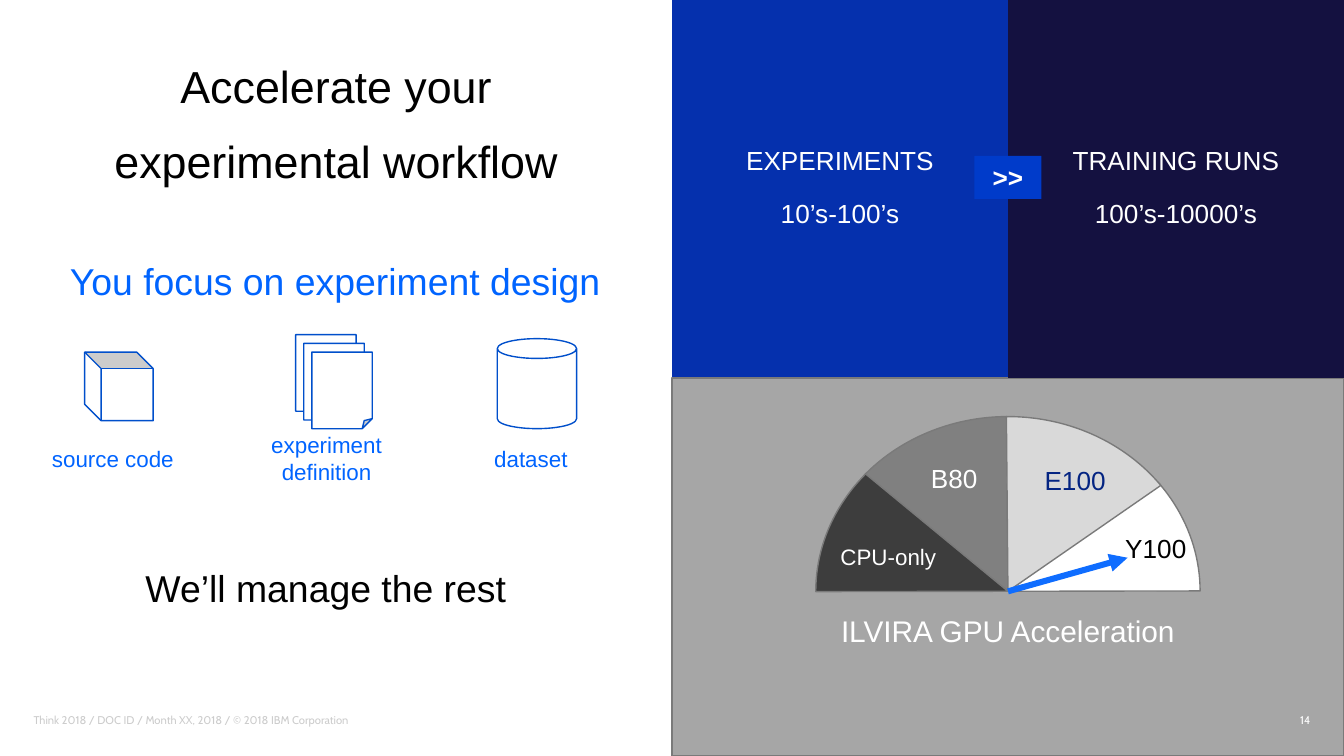
import pptx
import pptx.dml.color
import pptx.enum.shapes
import pptx.enum.text
import pptx.oxml
import pptx.oxml.ns
import pptx.util

Inches = pptx.util.Inches
Pt = pptx.util.Pt
MSO = pptx.enum.shapes.MSO_SHAPE
ALIGN = pptx.enum.text.PP_ALIGN
ANCHOR = pptx.enum.text.MSO_ANCHOR
WHITE, BLACK, BLUE, OUTLINE, GREY = "FFFFFF", "000000", "0064FF", "004FCB", "7A7A7A"
WIDTH = 10
HEIGHT = WIDTH * 9 / 16


def rgb(value):
    """Return the colour for a hex string."""
    return pptx.dml.color.RGBColor.from_string(value)


def place(sp, box):
    """Move and size a shape to a box in inches."""
    sp.left, sp.top, sp.width, sp.height = (Inches(v) for v in box)


def paint(sp, fill, line=None):
    """Set the fill and the outline of a shape."""
    sp.fill.solid()
    sp.fill.fore_color.rgb = rgb(fill)
    if line:
        sp.line.color.rgb = rgb(line)
        sp.line.width = Pt(0.75)
    else:
        sp.line.fill.background()


def write(sp, lines, size, color, font="Arial", align=ALIGN.CENTER, anchor=ANCHOR.MIDDLE,
          insets=(0, 0, 0, 0), bold=False, gap=0, spacing=1.0):
    """Fill a shape with one paragraph for each line of text."""
    tf = sp.text_frame
    tf.word_wrap = True
    tf.auto_size = pptx.enum.text.MSO_AUTO_SIZE.NONE
    tf.vertical_anchor = anchor
    tf.margin_left, tf.margin_top, tf.margin_right, tf.margin_bottom = (Inches(v) for v in insets)
    for i, line in enumerate(lines):
        p = tf.paragraphs[0] if i == 0 else tf.add_paragraph()
        p.alignment = align
        p.line_spacing = spacing
        p.space_before = Pt(gap if i else 0)
        if sp.is_placeholder:
            pPr = p._p.get_or_add_pPr()
            pPr.set("marL", "0")
            pPr.set("indent", "0")
            pPr.append(pptx.oxml.parse_xml(f'<a:buNone {pptx.oxml.ns.nsdecls("a")}/>'))
        r = p.add_run()
        r.text = line
        r.font.name, r.font.size, r.font.bold = font, Pt(size), bold
        r.font.color.rgb = rgb(color)


def add_text(shapes, box, lines, size, color, **style):
    """Add a text box."""
    sp = shapes.add_textbox(*(Inches(v) for v in box))
    write(sp, lines, size, color, **style)


def add_shape(shapes, kind, box, fill, line=None):
    """Add a flat preset shape."""
    sp = shapes.add_shape(kind, *(Inches(v) for v in box))
    sp.shadow.inherit = False
    paint(sp, fill, line)
    return sp


def add_panel(sp, box, fill, lines, size, line=None, **style):
    """Turn a body placeholder into a coloured panel."""
    place(sp, box)
    paint(sp, fill, line)
    write(sp, lines, size, WHITE, gap=11, spacing=1.03, **style)


def add_story(slide, box):
    """Place the title and the two statements of the left half."""
    x, y, w, h = box
    title = slide.shapes.title
    place(title, (x + 0.25, y + 0.26, w - 0.5, 1.3))
    write(title, ["Accelerate your", "experimental workflow"], 24, BLACK, gap=11, spacing=1.03)
    for dx, dy, text, color in ((0.42, 1.87, "You focus on experiment design", BLUE),
                                (0.35, 4.16, "We’ll manage the rest", BLACK)):
        add_text(slide.shapes, (x + dx, y + dy, 4.15, 0.44), [text], 20, color,
                 anchor=ANCHOR.TOP, insets=(0.1, 0.05, 0.1, 0.05))


def add_inputs(slide, box):
    """Draw the three experiment inputs with their captions."""
    x, y, w, h = box
    shapes = slide.shapes
    cube = add_shape(shapes, MSO.CUBE, (x + 0.6, y + 0.13, 0.51, 0.51), WHITE, OUTLINE)
    cube.adjustments[0] = 0.24
    cube.rotation = 270
    for i in range(3):
        add_shape(shapes, MSO.FOLDED_CORNER,
                  (x + 2.17 + 0.06 * i, y + 0.065 * i, 0.45, 0.57), WHITE, OUTLINE)
    add_shape(shapes, MSO.CAN, (x + 3.67, y + 0.03, 0.59, 0.67), WHITE, OUTLINE)
    captions = (["source code"], ["experiment", "definition"], ["dataset"])
    for dx, lines in zip((0, 1.59, 3.11), captions):
        add_text(shapes, (x + dx, y + 0.72, 1.62, 0.4), lines, 12, BLUE)


def add_counts(slide, left, right, box):
    """Fill the two count panels and the badge between them."""
    x, y, w, h = box
    half = w / 2
    panels = ((left, "0530AD", ["EXPERIMENTS", "10’s-100’s"]),
              (right, "141140", ["TRAINING RUNS", "100’s-10000’s"]))
    for i, (sp, fill, lines) in enumerate(panels):
        add_panel(sp, (x + i * half, y, half, h), fill, lines, 14,
                  insets=(0.25, 0.21, 0.25, 0.25))
    badge = add_shape(slide.shapes, MSO.RECTANGLE,
                      (x + half - 0.25, y + 1.16, 0.5, 0.32), "003BCA")
    write(badge, [">>"], 14, WHITE, bold=True)


def add_dial(slide, box):
    """Draw the speed dial with its sectors, labels and needle."""
    x, y, w, h = box
    group = slide.shapes.add_group_shape()
    sectors = ((218.6, 269.6, "808080"), (179.9, 219.5, "3D3D3D"),
               (324.1, 359.9, WHITE), (269.5, 325.3, "D9D9D9"))
    for start, end, fill in sectors:
        sp = add_shape(group.shapes, MSO.PIE, box, fill, GREY)
        sp.adjustments[0], sp.adjustments[1] = start * 0.6, end * 0.6
    labels = (((0.66, 0.24, 0.74, 0.44), "B80", 14, WHITE),
              ((1.6, 0.24, 0.66, 0.46), "E100", 14, "042482"),
              ((0.06, 0.78, 0.96, 0.52), "CPU-only", 12, WHITE),
              ((2.2, 0.75, 0.66, 0.46), "Y100", 14, BLACK))
    for (dx, dy, lw, lh), text, size, color in labels:
        add_text(slide.shapes, (x + dx, y + dy, lw, lh), [text], size, color)
    cx, cy = x + w / 2, y + h / 2
    needle = slide.shapes.add_connector(
        pptx.enum.shapes.MSO_CONNECTOR.STRAIGHT,
        Inches(cx), Inches(cy), Inches(cx + 0.89), Inches(cy - 0.25))
    needle.line.color.rgb = rgb("0F6DFF")
    needle.line.width = Pt(3.25)
    ns = pptx.oxml.ns.nsdecls("a")
    spPr = needle._element.spPr
    spPr.get_or_add_ln().append(pptx.oxml.parse_xml(f'<a:tailEnd {ns} type="triangle"/>'))
    spPr.append(pptx.oxml.parse_xml(f"<a:effectLst {ns}/>"))


def add_footer(slide, box):
    """Place the footer line and the page number."""
    x, y, w, h = box
    add_text(slide.shapes, (x, y, 7, h),
             ["Think 2018 / DOC ID / Month XX, 2018 / © 2018 IBM Corporation"],
             6, "CCCCCC", font="Cabin", align=ALIGN.LEFT)
    add_text(slide.shapes, (x + w - 2.25, y, 2.25, h), ["14"], 6, WHITE,
             font="Cabin", align=ALIGN.RIGHT)


def main():
    """Build the slide and save it."""
    prs = pptx.Presentation()
    prs.slide_width, prs.slide_height = Inches(WIDTH), Inches(HEIGHT)
    slide = prs.slides.add_slide(prs.slide_layouts[4])
    body = {sp.placeholder_format.idx: sp for sp in slide.placeholders}
    body[4]._element.getparent().remove(body[4]._element)
    half_w, half_h = WIDTH / 2, HEIGHT / 2
    add_story(slide, (0, 0, half_w, HEIGHT))
    add_inputs(slide, (0.03, 2.49, 4.73, 1.12))
    add_counts(slide, body[1], body[3], (half_w, 0, half_w, half_h))
    add_panel(body[2], (half_w, half_h, half_w, half_h), "A6A6A6",
              ["ILVIRA GPU Acceleration"], 16, line=GREY, anchor=ANCHOR.BOTTOM,
              insets=(0.25, 0.21, 0.25, 0.8))
    add_dial(slide, (6.07, 3.1, 2.86, 2.6))
    add_footer(slide, (0.25, 5.28, 9.5, 0.15))
    prs.save("out.pptx")


if __name__ == "__main__":
    main()
